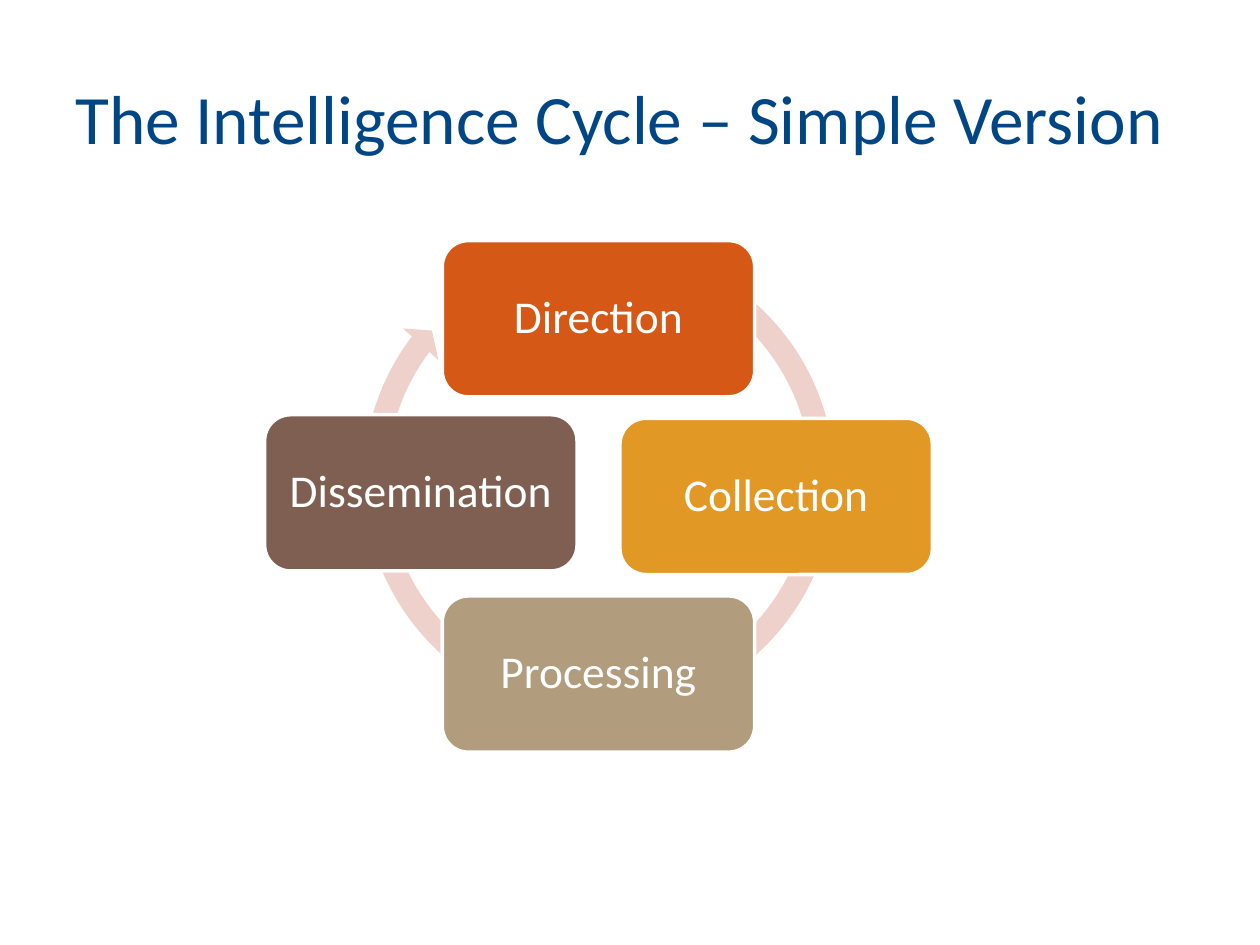
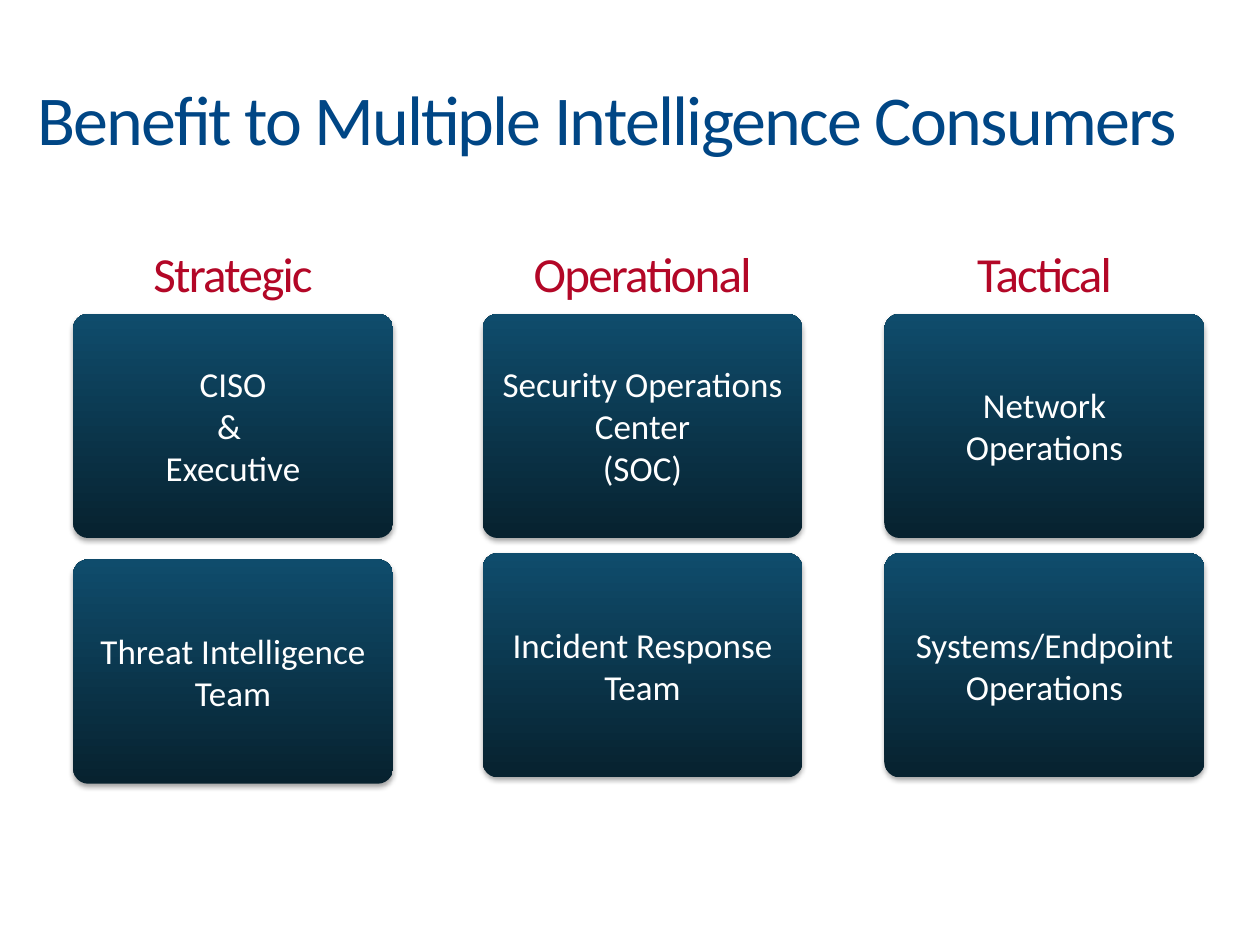
from lxml.etree import SubElement
from pptx import Presentation
from pptx.dml.color import RGBColor
from pptx.enum.shapes import MSO_SHAPE
from pptx.enum.text import MSO_ANCHOR, PP_ALIGN
from pptx.oxml.ns import qn
from pptx.util import Emu, Inches, Pt

COLUMNS, ROWS = 100, 75


def color(hex_code):
    return RGBColor.from_string(hex_code)


def write(shape, text, size, ink="FFFFFF", font="Calibri", align=PP_ALIGN.CENTER,
          anchor=MSO_ANCHOR.MIDDLE, tracking=0, line_spacing=1.0, side_margin=0.1):
    frame = shape.text_frame
    frame.word_wrap = True
    frame.vertical_anchor = anchor
    frame.margin_left = frame.margin_right = Inches(side_margin)
    for index, line in enumerate(text.split("\n")):
        para = frame.add_paragraph() if index else frame.paragraphs[0]
        para.alignment = align
        para.line_spacing = line_spacing
        span = para.add_run()
        span.text = line
        span.font.name = font
        span.font.size = Pt(size)
        span.font.color.rgb = color(ink)
        if tracking:
            span.font._element.set("spc", str(tracking * 100))


class SlideWriter:
    title_ink = "004685"
    heading_ink = "B30727"
    card_gradient = ("07222F", "0F4C6C")

    def __init__(self, deck):
        self.deck = deck
        self.page = None

    def new_page(self):
        self.page = self.deck.slides.add_slide(self.deck.slide_layouts[6])

    def area(self, column, row, columns, rows):
        width, height = self.deck.slide_width, self.deck.slide_height
        return (Emu(round(column * width / COLUMNS)), Emu(round(row * height / ROWS)),
                Emu(round(columns * width / COLUMNS)), Emu(round(rows * height / ROWS)))

    def text(self, area, text, size, **text_format):
        box = self.page.shapes.add_textbox(*self.area(*area))
        write(box, text, size, **text_format)

    def title(self, area, text, size=40, tracking=0):
        self.text(area, text, size, ink=self.title_ink, align=PP_ALIGN.LEFT,
                  tracking=tracking)

    def heading(self, area, text):
        self.text(area, text, 28, ink=self.heading_ink, anchor=MSO_ANCHOR.TOP, tracking=-1)

    def shape(self, kind, area, adjustments=()):
        shape = self.page.shapes.add_shape(kind, *self.area(*area))
        shape.shadow.inherit = False
        shape.line.fill.background()
        for index, value in enumerate(adjustments):
            shape.adjustments[index] = value
        return shape

    def cycle_arrow(self, area, fill):
        arrow = self.shape(MSO_SHAPE.CIRCULAR_ARROW, area,
                           (0.047, 2.729, 130.281, 178.982, 0.048))
        arrow.fill.solid()
        arrow.fill.fore_color.rgb = color(fill)

    def stage(self, area, text, fill):
        box = self.shape(MSO_SHAPE.ROUNDED_RECTANGLE, area)
        box.fill.solid()
        box.fill.fore_color.rgb = color(fill)
        box.line.color.rgb = color("FFFFFF")
        box.line.width = Pt(2)
        write(box, text, 26, line_spacing=0.9, side_margin=0.05)

    def card(self, area, text):
        box = self.shape(MSO_SHAPE.ROUNDED_RECTANGLE, area, (0.068,))
        box.fill.gradient()
        box.fill.gradient_angle = 90
        for stop, shade in zip(box.fill.gradient_stops, self.card_gradient):
            stop.color.rgb = color(shade)
        self.drop_shadow(box)
        write(box, text, 20)

    def drop_shadow(self, shape):
        effects = shape._element.spPr.find(qn("a:effectLst"))
        shadow = SubElement(effects, qn("a:outerShdw"), blurRad=str(Pt(3.1)),
                            dist=str(Pt(1.8)), dir="5400000", rotWithShape="0")
        shade = SubElement(shadow, qn("a:srgbClr"), val="000000")
        SubElement(shade, qn("a:alpha"), val="35000")


def add_cycle(writer):
    center_column, center_row, radius = 47.5, 39.4, 14.1
    width, height = 24.8, 12.4
    stages = [("Direction", "D55816", 0, -1), ("Collection", "E19825", 1, 0),
              ("Processing", "B19C7D", 0, 1), ("Dissemination", "7F5F52", -1, -0.02)]
    writer.new_page()
    writer.title((5, 3, 90, 12.5), "The Intelligence Cycle – Simple Version", size=39.6)
    writer.cycle_arrow((27.9, 18.4, 39.3, 39.3), "EFD1CC")
    for text, fill, across, down in stages:
        left = center_column + across * radius - width / 2
        top = center_row + down * radius - height / 2
        writer.stage((left, top, width, height), text, fill)


def add_consumers(writer):
    width, height = 25.4, 17.8
    upper_row, lower_row = 24.9, 43.9
    groups = [
        ("Strategic", 5.8, 0.5, "CISO\n& \nExecutive", "Threat Intelligence\nTeam"),
        ("Operational", 38.3, 0, "Security Operations Center\n(SOC)",
         "Incident Response\nTeam"),
        ("Tactical", 70.2, 0, "Network Operations", "Systems/Endpoint\nOperations"),
    ]
    writer.new_page()
    writer.title((2, 6.2, 100, 6.2), "Benefit to Multiple Intelligence Consumers", tracking=-1)
    for heading, left, drop, upper_text, lower_text in groups:
        writer.heading((left, 18.8, width, 5.7), heading)
        writer.card((left, upper_row, width, height), upper_text)
        writer.card((left, lower_row + drop, width, height), lower_text)


def main():
    deck = Presentation()
    deck.slide_width, deck.slide_height = Inches(10), Inches(7.5)
    writer = SlideWriter(deck)
    add_cycle(writer)
    add_consumers(writer)
    deck.save("out.pptx")


if __name__ == "__main__":
    main()
